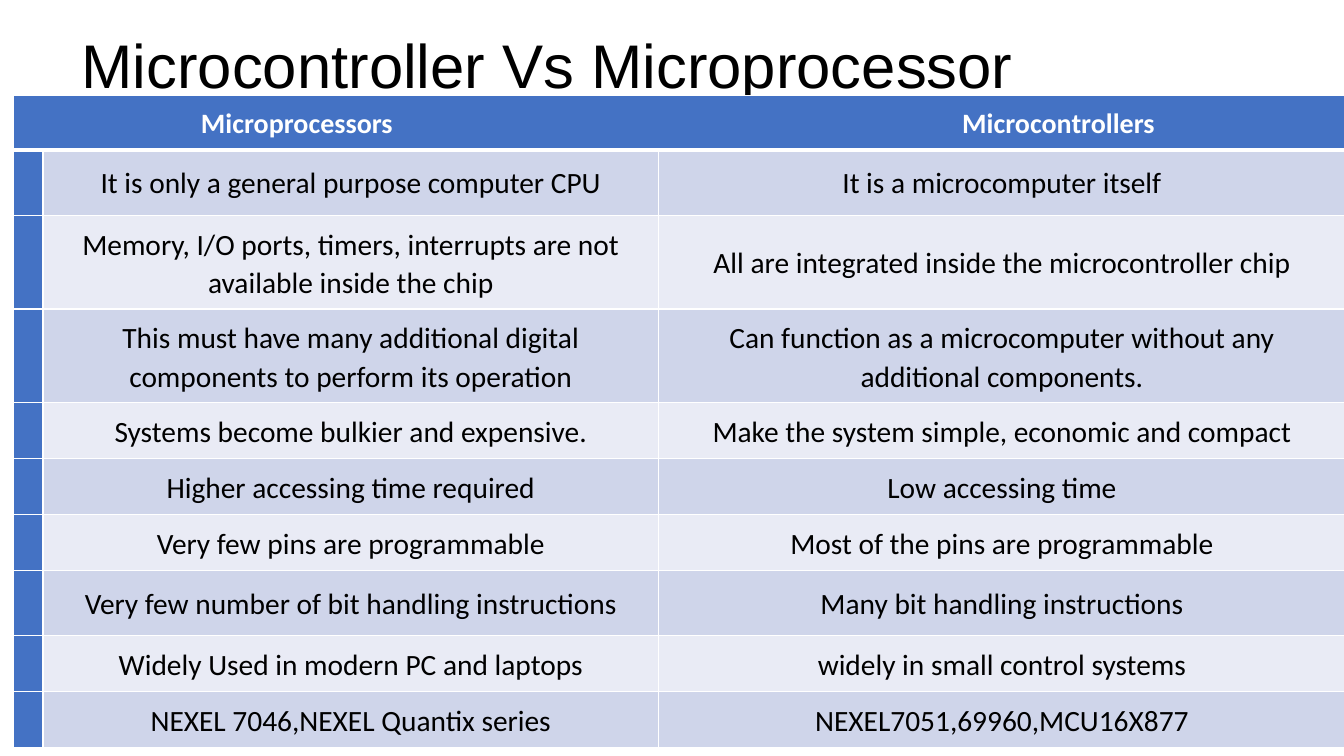
from lxml.etree import SubElement
from pptx import Presentation
from pptx.dml.color import RGBColor
from pptx.enum.text import MSO_ANCHOR, PP_ALIGN
from pptx.oxml import parse_xml
from pptx.oxml.ns import nsdecls, qn
from pptx.util import Inches, Pt

SLIDE_WIDTH, SLIDE_HEIGHT = Inches(13.33), Inches(7.5)
BLACK = RGBColor(0x00, 0x00, 0x00)
WHITE = RGBColor(0xFF, 0xFF, 0xFF)
BLUE = RGBColor(0x44, 0x72, 0xC4)
BANDS = (RGBColor(0xCF, 0xD5, 0xEA), RGBColor(0xE9, 0xEB, 0xF5))

TITLE = "Microcontroller Vs Microprocessor"
HEADINGS = ("Microprocessors", "Microcontrollers")
COLUMN_SHARES = (2.2, 45.8, 51.1)
SHORT_ROW, TALL_ROW = 5.73, 8.67
COMPARISONS = (
    (TALL_ROW, "It is only a general purpose computer CPU",
     "It is a microcomputer itself"),
    (TALL_ROW, "Memory, I/O ports, timers, interrupts are not available inside the chip",
     "All are integrated inside the microcontroller chip"),
    (TALL_ROW, "This must have many additional digital components to perform its operation",
     "Can function as a microcomputer without any additional components."),
    (SHORT_ROW, "Systems become bulkier and expensive.",
     "Make the system simple, economic and compact"),
    (SHORT_ROW, "Higher accessing time required", "Low accessing time"),
    (SHORT_ROW, "Very few pins are programmable", "Most of the pins are programmable"),
    (TALL_ROW, "Very few number of bit handling instructions",
     "Many bit handling instructions"),
    (SHORT_ROW, "Widely Used in modern PC and laptops", "widely in small control systems"),
    (SHORT_ROW, "NEXEL 7046,NEXEL Quantix series", "NEXEL7051,69960,MCU16X877"),
)


def across(percent):
    """Return a percentage of the slide width."""
    return round(SLIDE_WIDTH * percent / 100)


def down(percent):
    """Return a percentage of the slide height."""
    return round(SLIDE_HEIGHT * percent / 100)


def format_text(paragraph, font_name, size, color, bold=False):
    """Set the font of every run in a paragraph."""
    for run in paragraph.runs:
        run.font.name = font_name
        run.font.size = Pt(size)
        run.font.bold = bold
        run.font.color.rgb = color


def add_title(slide):
    """Place the slide title above the table."""
    title = slide.shapes.add_textbox(across(5.33), down(4), across(86.27), down(10.27))
    frame = title.text_frame
    frame.word_wrap = True
    frame.vertical_anchor = MSO_ANCHOR.MIDDLE
    frame.text = TITLE
    heading = frame.paragraphs[0]
    heading.line_spacing = 0.9
    format_text(heading, "Arial", 44, BLACK)


def style_cell(cell, fill, top=1, bottom=1):
    """Fill a cell and give it white borders."""
    cell.fill.solid()
    cell.fill.fore_color.rgb = fill
    properties = cell._tc.get_or_add_tcPr()
    widths = {"lnL": 1, "lnR": 1, "lnT": top, "lnB": bottom}
    for position, (side, width) in enumerate(widths.items()):
        border = parse_xml(
            f'<a:{side} {nsdecls("a")} w="{Pt(width)}"><a:solidFill>'
            f'<a:srgbClr val="{WHITE}"/></a:solidFill></a:{side}>')
        properties.insert(position, border)


def write_cell(cell, text, size, color, bold=False):
    """Write centred text into a cell and return its paragraph."""
    cell.vertical_anchor = MSO_ANCHOR.MIDDLE
    cell.margin_left = cell.margin_right = Inches(0.13)
    cell.margin_top = cell.margin_bottom = Inches(0.09)
    cell.text_frame.text = text
    paragraph = cell.text_frame.paragraphs[0]
    paragraph.alignment = PP_ALIGN.CENTER
    paragraph.line_spacing = 1.07
    format_text(paragraph, "Calibri", size, color, bold)
    return paragraph


def fill_header(table):
    """Write both headings into one merged row, spaced by a tab stop."""
    table.rows[0].height = down(SHORT_ROW)
    for column in range(len(COLUMN_SHARES)):
        style_cell(table.cell(0, column), BLUE, bottom=3)
    header = table.cell(0, 0)
    header.merge(table.cell(0, len(COLUMN_SHARES) - 1))
    headings = write_cell(header, "\t".join(HEADINGS), 20, WHITE, bold=True)
    headings.alignment = PP_ALIGN.LEFT
    header.margin_left = across(13.95)
    tab_stops = SubElement(headings._p.get_or_add_pPr(), qn("a:tabLst"))
    SubElement(tab_stops, qn("a:tab"), pos=str(across(56.64)), algn="l")


def fill_comparison(table, row, height, entries):
    """Fill one comparison row with its blue edge and two entries."""
    table.rows[row].height = down(height)
    top = 3 if row == 1 else 1
    style_cell(table.cell(row, 0), BLUE, top)
    for column, entry in enumerate(entries, start=1):
        cell = table.cell(row, column)
        style_cell(cell, BANDS[(row - 1) % 2], top)
        write_cell(cell, entry, 21, BLACK)


def add_comparison_table(slide):
    """Build the table comparing the two kinds of chip."""
    table = slide.shapes.add_table(
        len(COMPARISONS) + 1, len(COLUMN_SHARES),
        across(1), down(12.67), across(sum(COLUMN_SHARES)), down(84.13)).table
    table.first_row = table.horz_banding = False
    for column, share in zip(table.columns, COLUMN_SHARES):
        column.width = across(share)
    fill_header(table)
    for row, (height, *entries) in enumerate(COMPARISONS, start=1):
        fill_comparison(table, row, height, entries)


def main():
    """Create and save the slide."""
    presentation = Presentation()
    presentation.slide_width, presentation.slide_height = SLIDE_WIDTH, SLIDE_HEIGHT
    slide = presentation.slides.add_slide(presentation.slide_layouts[6])
    add_title(slide)
    add_comparison_table(slide)
    presentation.save("out.pptx")


if __name__ == "__main__":
    main()
